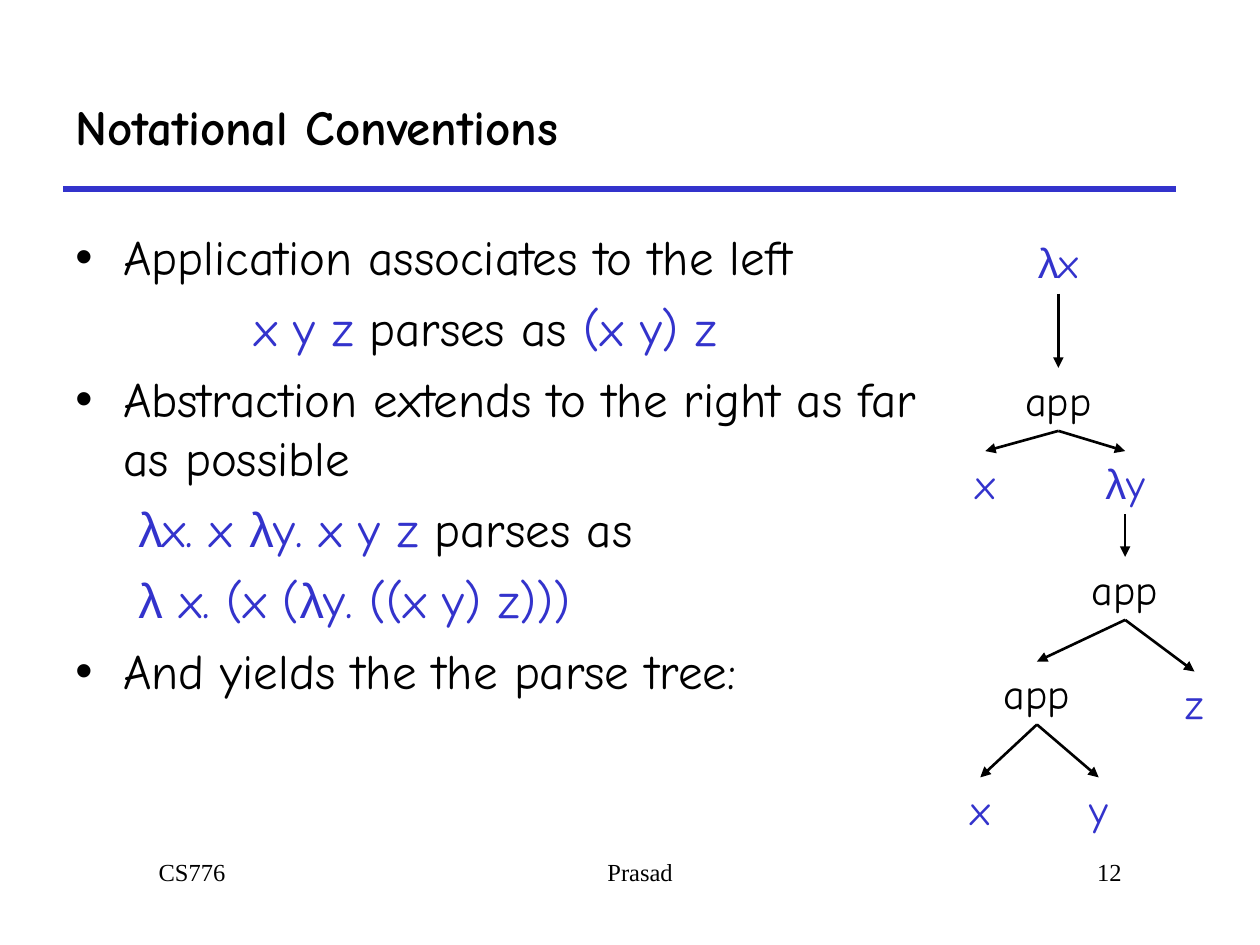
from itertools import groupby

from lxml import etree
from pptx import Presentation
from pptx.dml.color import RGBColor
from pptx.enum.shapes import MSO_CONNECTOR
from pptx.enum.text import MSO_ANCHOR, PP_ALIGN
from pptx.oxml.ns import qn
from pptx.util import Inches, Pt

STRAIGHT = MSO_CONNECTOR.STRAIGHT
MIDDLE = MSO_ANCHOR.MIDDLE
LEFT, CENTER, RIGHT = PP_ALIGN.LEFT, PP_ALIGN.CENTER, PP_ALIGN.RIGHT
BLACK, BLUE = "000000", "3333CC"
HAND, GREEK, SERIF = "Comic Neue", "Arial", "Times New Roman"

BODY = [
    (True, 0.38, [("Application associates to the left", BLACK)]),
    (False, 1.42, [("x y z", BLUE), (" parses as ", BLACK), ("(x y) z", BLUE)]),
    (True, 0.38, [("Abstraction extends to the right as far as possible", BLACK)]),
    (False, 0.5, [("λx. x λy. x y z", BLUE), (" parses as", BLACK)]),
    (False, 0.5, [("λ x. (x (λy. ((x y) z)))", BLUE)]),
    (True, 0.38, [("And yields the the parse tree:", BLACK)]),
]
LABEL_WIDTHS = {"app": 0.76, "λx": 0.54, "λy": 0.53, "x": 0.36, "y": 0.35, "z": 0.34}
NODE_HEIGHT = 0.5
NODES = {
    "root": ("λx", 0.8, 0),
    "outer app": ("app", 0.8, 1.09),
    "outer x": ("x", 0.22, 1.75),
    "inner lambda": ("λy", 1.33, 1.75),
    "middle app": ("app", 1.33, 2.59),
    "inner app": ("app", 0.63, 3.42),
    "z": ("z", 1.88, 3.5),
    "inner x": ("x", 0.18, 4.34),
    "y": ("y", 1.12, 4.34),
}
BRANCHES = [
    ("root", "outer app"),
    ("outer app", "outer x"),
    ("outer app", "inner lambda"),
    ("inner lambda", "middle app"),
    ("middle app", "inner app"),
    ("middle app", "z"),
    ("inner app", "inner x"),
    ("inner app", "y"),
]


def color(value):
    """Turn a hex string into a colour."""
    return RGBColor.from_string(value)


def add_text_box(shapes, box, wrap=True):
    """Add an empty text box and return its text frame."""
    frame = shapes.add_textbox(*map(Inches, box)).text_frame
    frame.word_wrap = wrap
    return frame


def add_spans(para, text, size, font, fill, bold=False):
    """Append text to a paragraph, setting each lambda in the Greek font."""
    for is_lambda, letters in groupby(text, lambda letter: letter == "λ"):
        span = para.add_run()
        span.text = "".join(letters)
        span.font.size = Pt(size)
        span.font.name = GREEK if is_lambda else font
        span.font.bold = bold
        span.font.color.rgb = color(fill)


def set_indent(para, margin, first=0):
    """Set the left margin and first-line indent of a paragraph."""
    properties = para._p.get_or_add_pPr()
    properties.set("marL", str(Inches(margin)))
    properties.set("indent", str(Inches(first)))
    return properties


def add_line(shapes, start, end, fill, width, arrow=False):
    """Draw a straight line, with an arrowhead at its end if asked."""
    line = shapes.add_connector(STRAIGHT, *map(Inches, (*start, *end)))
    line.line.color.rgb = color(fill)
    line.line.width = Pt(width)
    if arrow:
        etree.SubElement(line.line._get_or_add_ln(), qn("a:tailEnd"), type="triangle")
    etree.SubElement(line._element.spPr, qn("a:effectLst"))


def add_title(page, box):
    """Place the title and the rule along the bottom of its box."""
    left, top, width, height = box
    frame = add_text_box(page.shapes, box)
    frame.vertical_anchor = MIDDLE
    add_spans(frame.paragraphs[0], "Notational Conventions", 28, HAND, BLACK, True)
    bottom = top + height
    add_line(page.shapes, (left, bottom), (left + width, bottom), BLUE, 3)


def add_body(page, box):
    """Place the bulleted conventions and their examples."""
    frame = add_text_box(page.shapes, box)
    for number, (bulleted, margin, parts) in enumerate(BODY):
        para = frame.add_paragraph() if number else frame.paragraphs[0]
        para.space_before = Pt(7)
        properties = set_indent(para, margin, -margin if bulleted else 0)
        if bulleted:
            bullet_color = etree.SubElement(properties, qn("a:buClr"))
            etree.SubElement(bullet_color, qn("a:srgbClr"), val=BLACK)
            etree.SubElement(properties, qn("a:buFont"), typeface=GREEK)
            etree.SubElement(properties, qn("a:buChar"), char="•")
        for text, fill in parts:
            add_spans(para, text, 28, HAND, fill)


def add_parse_tree(page, left, top):
    """Place the parse tree with its top left corner at the given point."""
    shapes = page.shapes.add_group_shape().shapes
    for label, center, offset in NODES.values():
        width = LABEL_WIDTHS[label]
        box = (left + center - width / 2, top + offset, width, NODE_HEIGHT)
        para = add_text_box(shapes, box, wrap=False).paragraphs[0]
        para.alignment = CENTER
        add_spans(para, label, 24, HAND, BLACK if label == "app" else BLUE)
    for parent, child in BRANCHES:
        _, parent_x, parent_y = NODES[parent]
        _, child_x, child_y = NODES[child]
        start = (left + parent_x, top + parent_y + NODE_HEIGHT)
        add_line(shapes, start, (left + child_x, top + child_y), BLACK, 1.5, True)


def add_footer(page, box):
    """Place the course, the author and the page number in one row."""
    left, top, width, height = box
    side, middle = 2.08, 3.75
    cells = [
        ("CS776", left, side, LEFT),
        ("Prasad", left + (width - middle) / 2, middle, CENTER),
        ("12", left + width - side, side, RIGHT),
    ]
    for text, start, span_width, alignment in cells:
        para = add_text_box(page.shapes, (start, top, span_width, height)).paragraphs[0]
        para.alignment = alignment
        set_indent(para, 0.24)
        add_spans(para, text, 14, SERIF, BLACK)


def main():
    """Build the slide and save it."""
    deck = Presentation()
    deck.slide_width, deck.slide_height = Inches(10), Inches(7.5)
    page = deck.slides.add_slide(deck.slide_layouts[6])
    add_title(page, (0.5, 0.5, 8.83, 1))
    add_body(page, (0.5, 1.75, 6.92, 4.08))
    add_parse_tree(page, 7.6, 1.83)
    add_footer(page, (0.92, 6.75, 8.08, 0.5))
    deck.save("out.pptx")


if __name__ == "__main__":
    main()
